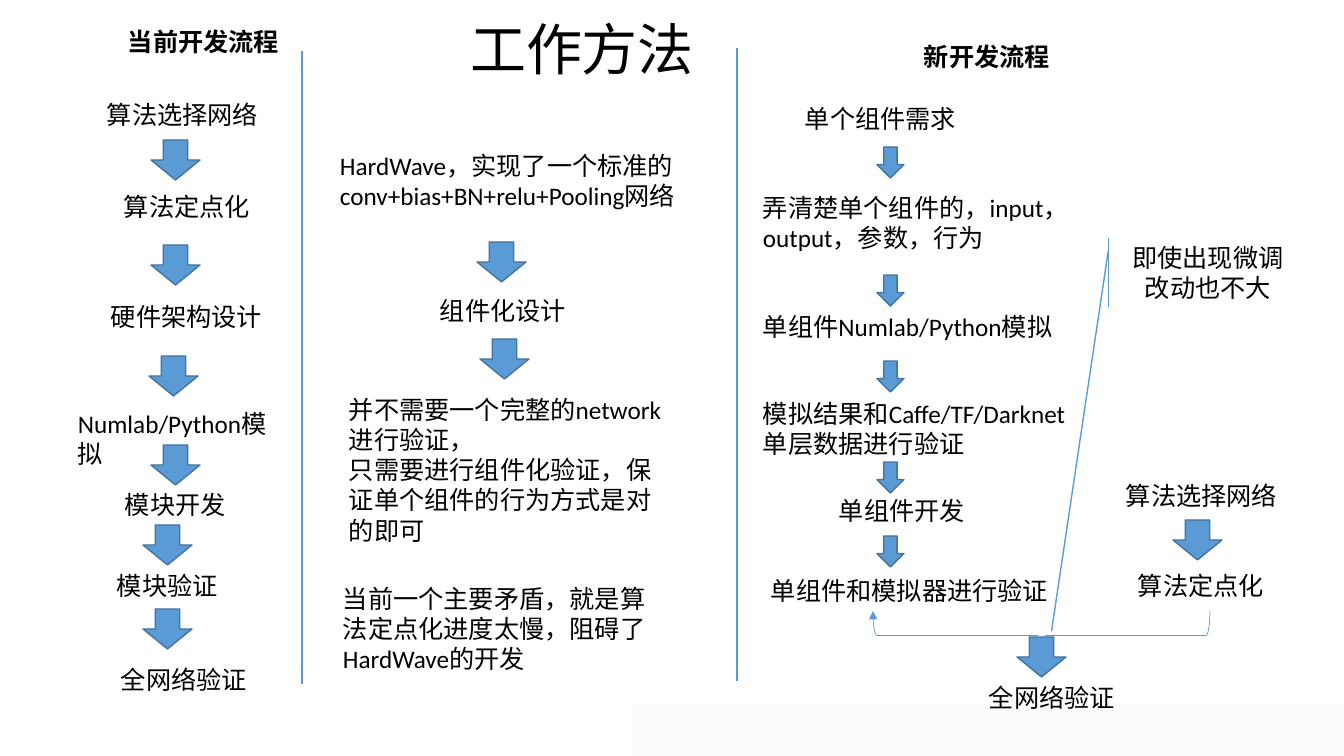
from lxml import etree
from pptx import Presentation
from pptx.dml.color import RGBColor
from pptx.enum.shapes import MSO_CONNECTOR, MSO_SHAPE
from pptx.enum.text import MSO_ANCHOR, MSO_AUTO_SIZE, PP_ALIGN
from pptx.oxml.ns import qn
from pptx.util import Emu, Pt

EMU_PER_PX = 914400 / 100.8
FONT = "Calibri"
BLACK, WHITE, BLUE, DARK_BLUE = "000000", "FFFFFF", "5B9BD5", "43739E"
BIG_ARROW, SMALL_ARROW = (49, 40), (27, 31)

# Each step: text, left, top, width
CURRENT_STEPS = [
    ("算法选择网络", 97, 94, 174),
    ("算法定点化", 114, 186, 148),
    ("硬件架构设计", 101, 296, 174),
    ("Numlab/Python模拟", 68, 403, 229),
    ("模块开发", 115, 484, 122),
    ("模块验证", 107, 565, 122),
    ("全网络验证", 111, 659, 148),
]
METHOD_STEPS = [
    ("HardWave，实现了一个标准的conv+bias+BN+relu+Pooling网络", 330, 145, 465),
    ("组件化设计", 430, 290, 148),
    ("并不需要一个完整的network进行验证，\n只需要进行组件化验证，保证单个组件的行为方式是对的即可",
     339, 389, 344),
    ("当前一个主要矛盾，就是算法定点化进度太慢，阻碍了HardWave的开发", 333, 578, 344),
]
NEW_STEPS = [
    ("单个组件需求", 795, 98, 333),
    ("弄清楚单个组件的，input，output，参数，行为", 753, 187, 333),
    ("单组件Numlab/Python模拟", 753, 306, 333),
    ("模拟结果和Caffe/TF/Darknet单层数据进行验证", 753, 393, 333),
    ("单组件开发", 829, 490, 333),
    ("单组件和模拟器进行验证", 761, 570, 333),
]
NETWORK_STEPS = [
    ("算法选择网络", 1116, 475, 178),
    ("算法定点化", 1128, 565, 148),
    ("全网络验证", 979, 677, 148),
]
HEADINGS = [("当前开发流程", 118, 21, 174), ("新开发流程", 914, 36, 148)]

BIG_ARROW_SPOTS = [
    (151, 140), (151, 245), (149, 356), (151, 445), (143, 525), (143, 609),
    (477, 242), (480, 339),
    (1173, 520), (1017, 637),
]
SMALL_ARROW_LEFT = 877
SMALL_ARROW_TOPS = [147, 275, 361, 462, 536]


def px(length):
    return Emu(round(length * EMU_PER_PX))


def color(hex_string):
    return RGBColor.from_string(hex_string)


def write(frame, text, size=18, bold=False, align=PP_ALIGN.LEFT):
    frame.word_wrap = True
    frame.text = text
    for paragraph in frame.paragraphs:
        paragraph.alignment = align
        font = paragraph.font
        font.name, font.size, font.bold = FONT, Pt(size), bold
        font.color.rgb = color(BLACK)


def add_label(slide, text, left, top, width, bold=False):
    lines = text.count("\n") + 1
    box = slide.shapes.add_textbox(px(left), px(top), px(width), px(40 * lines))
    write(box.text_frame, text, bold=bold)
    box.text_frame.auto_size = MSO_AUTO_SIZE.SHAPE_TO_FIT_TEXT


def add_outlined(slide, preset, left, top, width, height, fill, line, weight):
    shape = slide.shapes.add_shape(preset, px(left), px(top), px(width), px(height))
    shape.shadow.inherit = False
    if fill:
        shape.fill.solid()
        shape.fill.fore_color.rgb = color(fill)
    else:
        shape.fill.background()
    shape.line.color.rgb = color(line)
    shape.line.width = Pt(weight)
    return shape


def add_down_arrow(slide, left, top, size):
    add_outlined(slide, MSO_SHAPE.DOWN_ARROW, left, top, *size, BLUE, DARK_BLUE, 1)


def add_divider(slide, x, top, bottom):
    divider = slide.shapes.add_connector(
        MSO_CONNECTOR.STRAIGHT, px(x), px(top), px(x), px(bottom))
    divider.line.color.rgb = color(BLUE)
    divider.line.width = Pt(1.5)
    etree.SubElement(divider._element.spPr, qn("a:effectLst"))


def add_footer_band(slide):
    band = slide.shapes.add_shape(MSO_SHAPE.RECTANGLE, 0, px(704), px(1344), px(52))
    band.shadow.inherit = False
    band.line.fill.background()
    band.fill.gradient()
    band.fill.gradient_angle = 0
    for stop, (position, shade) in zip(band.fill.gradient_stops,
                                       [(0, WHITE), (0.94, "FBFBFB")]):
        stop.position = position
        stop.color.rgb = color(shade)


def add_title(slide):
    title = slide.shapes.title
    title.left, title.top, title.width, title.height = px(460), px(9), px(247), px(78)
    write(title.text_frame, "工作方法", size=40)
    title.text_frame.vertical_anchor = MSO_ANCHOR.TOP
    title.text_frame.auto_size = MSO_AUTO_SIZE.NONE


def add_merge_brace(slide):
    """Join the component flow and the network flow above the last step."""
    brace = add_outlined(slide, MSO_SHAPE.LEFT_BRACE, 1017, 467, 49, 337, None, BLUE, 0.5)
    brace.rotation = 270
    outline = brace.line._get_or_add_ln()
    etree.SubElement(outline, qn("a:tailEnd"), type="triangle")


def add_change_callout(slide):
    callout = add_outlined(slide, MSO_SHAPE.LINE_CALLOUT_1_ACCENT_BAR,
                           1122, 238, 172, 69, WHITE, BLUE, 1)
    for index, value in enumerate([0.19, -0.08, 5.7, -0.41]):
        callout.adjustments[index] = value
    write(callout.text_frame, "即使出现微调改动也不大", align=PP_ALIGN.CENTER)
    callout.text_frame.vertical_anchor = MSO_ANCHOR.MIDDLE


def main():
    deck = Presentation()
    deck.slide_width, deck.slide_height = px(1344), px(756)
    slide = deck.slides.add_slide(deck.slide_layouts[5])

    add_footer_band(slide)
    add_title(slide)
    for heading in HEADINGS:
        add_label(slide, *heading, bold=True)
    for step in CURRENT_STEPS + METHOD_STEPS + NEW_STEPS + NETWORK_STEPS:
        add_label(slide, *step)
    for left, top in BIG_ARROW_SPOTS:
        add_down_arrow(slide, left, top, BIG_ARROW)
    for top in SMALL_ARROW_TOPS:
        add_down_arrow(slide, SMALL_ARROW_LEFT, top, SMALL_ARROW)
    add_divider(slide, 302, 51, 684)
    add_divider(slide, 737, 48, 681)
    add_merge_brace(slide)
    add_change_callout(slide)

    deck.save("out.pptx")


if __name__ == "__main__":
    main()
